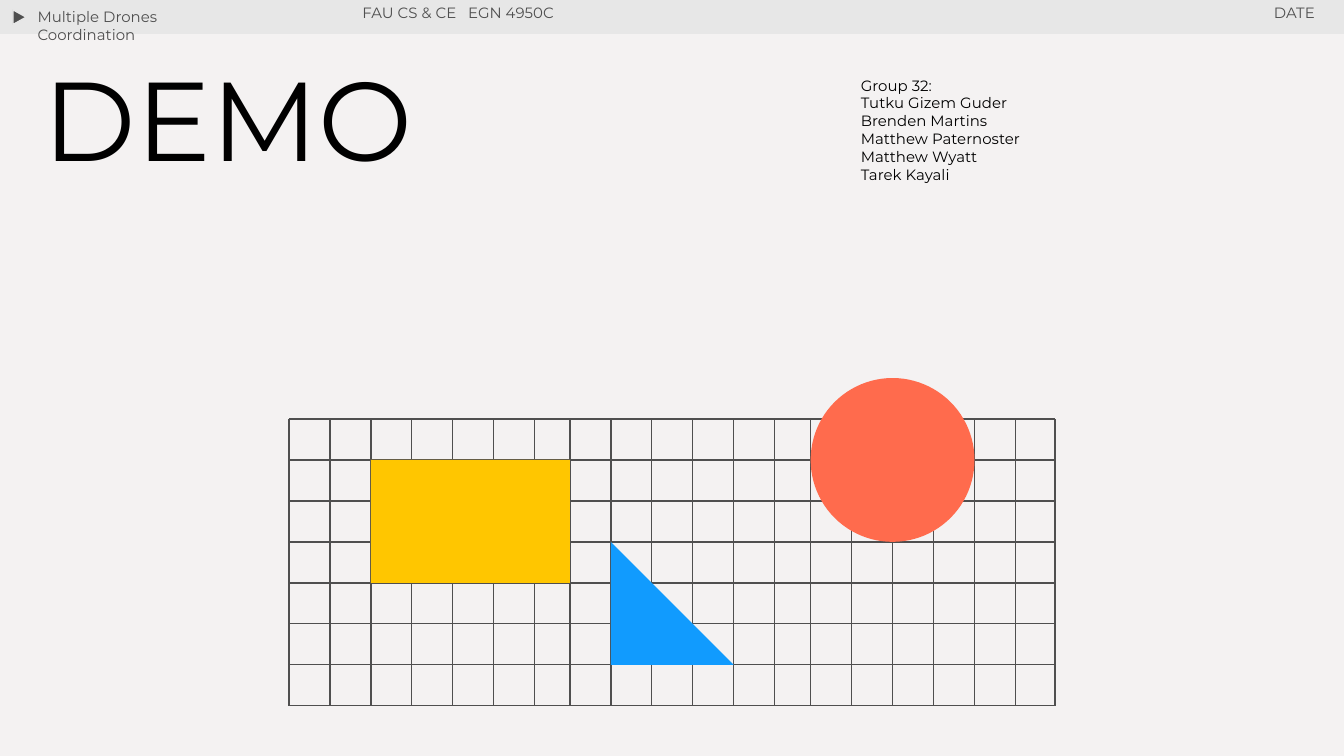
"""Build the demo title slide with a grid and three geometric shapes."""
from pptx import Presentation
from pptx.dml.color import RGBColor
from pptx.enum.shapes import MSO_CONNECTOR, MSO_SHAPE as SHAPE
from pptx.enum.text import PP_ALIGN as ALIGN
from pptx.util import Cm, Pt
from lxml import etree

INK, BAR, BLACK = "4F4F4F", "E7E7E7", "000000"
A_NS = "{http://schemas.openxmlformats.org/drawingml/2006/main}"


def color(value):
    return RGBColor.from_string(value)


def add_filled(shapes, kind, x, y, w, h, fill):
    s = shapes.add_shape(kind, Cm(x), Cm(y), Cm(w), Cm(h))
    s.shadow.inherit = False
    s.fill.solid()
    s.fill.fore_color.rgb = color(fill)
    s.line.fill.background()
    return s


prs = Presentation()
prs.slide_width, prs.slide_height = Cm(25.4), Cm(14.29)
slide = prs.slides.add_slide(prs.slide_layouts[6])
slide.background.fill.solid()
slide.background.fill.fore_color.rgb = color("F4F2F2")

add_filled(slide.shapes, SHAPE.RECTANGLE, 0, 0, 25.4, 0.64, BAR)
play = add_filled(slide.shapes, SHAPE.ISOSCELES_TRIANGLE, 0.23, 0.2, 0.28, 0.25, INK)
play.rotation = 90
play.line.color.rgb = color(BAR)
play.line.width = Pt(0.75)

texts = [
    ("DATE", 21.92, -0.1, 3.18, 0.86, 8, INK, ALIGN.RIGHT, 1),
    ("Group 32:\vTutku Gizem Guder\n"
     "Brenden Martins\vMatthew Paternoster\vMatthew Wyatt\vTarek Kayali",
     16.02, 1.19, 8.99, 3.38, 8, BLACK, ALIGN.LEFT, 1),
    ("DEMO", 0.58, 0.97, 14.83, 5.56, 60, BLACK, ALIGN.LEFT, 0.9),
    ("Multiple Drones Coordination", 0.46, -0.1, 4.67, 0.94, 8, INK, ALIGN.LEFT, 1),
    ("FAU CS & CE   EGN 4950C", 6.6, -0.1, 10.59, 0.86, 8, INK, ALIGN.LEFT, 1),
]
for text, x, y, w, h, size, ink, align, spacing in texts:
    tf = slide.shapes.add_textbox(Cm(x), Cm(y), Cm(w), Cm(h)).text_frame
    tf.word_wrap = True
    tf.margin_left = tf.margin_right = tf.margin_top = tf.margin_bottom = Cm(0.25)
    tf.text = text
    for p in tf.paragraphs:
        p.alignment = align
        p.line_spacing = spacing
        for r in p.runs:
            r.font.name = "Montserrat"
            r.font.size = Pt(size)
            r.font.color.rgb = color(ink)

left, top, right, bottom = 5.46, 7.92, 19.94, 13.34
rows = 7
cell = (bottom - top) / rows
sections = [(left, 7), (10.77, 6), (15.32, 6)]
columns = [x + i * cell for x, count in sections for i in range(count)] + [right]
lines = [(x, top, x, bottom) for x in columns]
lines += [(left, top + i * cell, right, top + i * cell) for i in range(rows + 1)]

group = slide.shapes.add_group_shape()
for x1, y1, x2, y2 in lines:
    s = group.shapes.add_connector(MSO_CONNECTOR.STRAIGHT, Cm(x1), Cm(y1), Cm(x2), Cm(y2))
    s.line.color.rgb = color(INK)
    s.line.width = Pt(0.75)
    etree.SubElement(s._element.spPr, A_NS + "effectLst")

add_filled(group.shapes, SHAPE.RECTANGLE, columns[2], top + cell,
           columns[7] - columns[2], 3 * cell, "FFC600")
add_filled(group.shapes, SHAPE.OVAL, columns[13], top - cell,
           columns[17] - columns[13], 4 * cell, "FF6B4D")
add_filled(group.shapes, SHAPE.RIGHT_TRIANGLE, columns[8], top + 3 * cell,
           3 * cell, 3 * cell, "119BFE")

prs.save("out.pptx")
